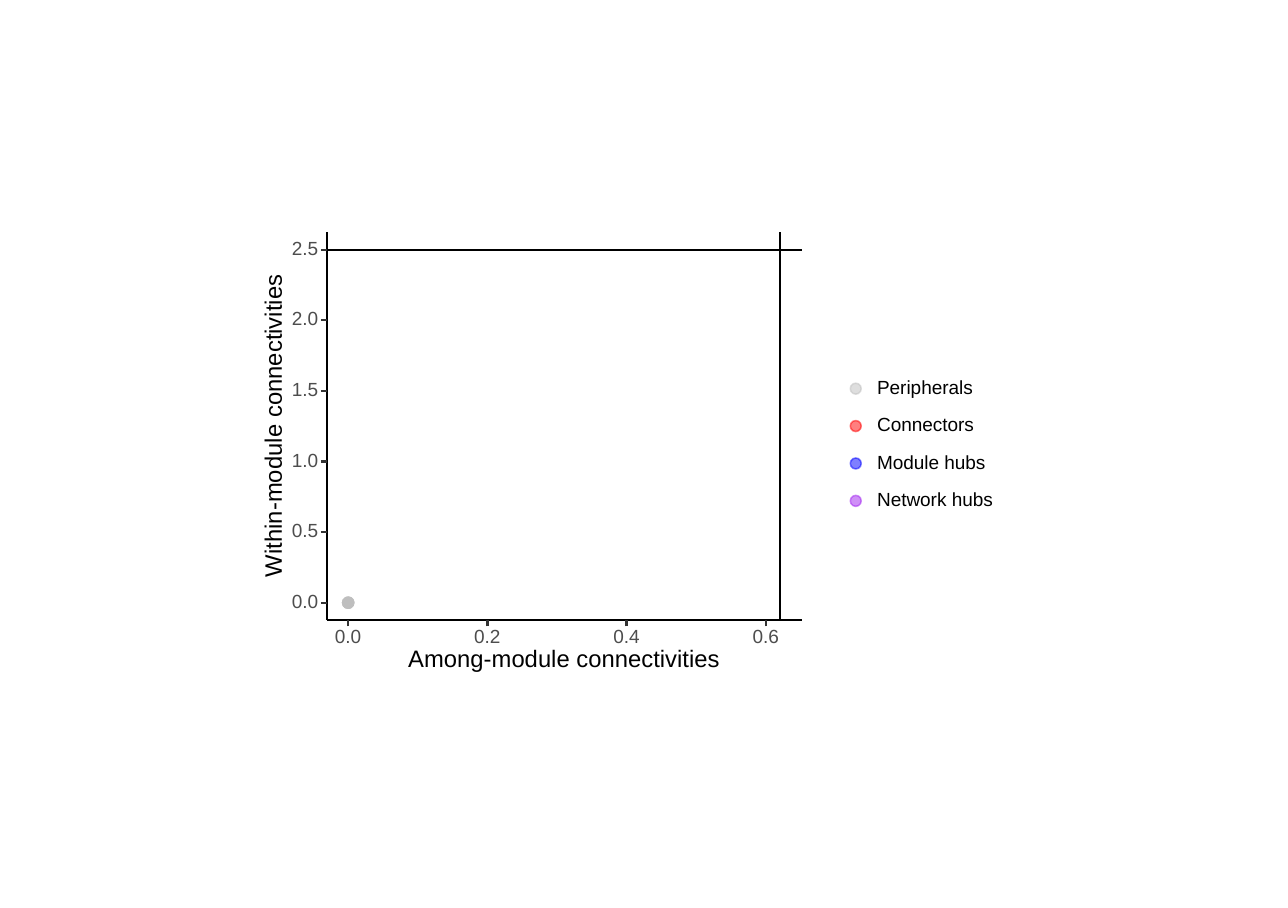
from dataclasses import dataclass

from lxml import etree
from pptx import Presentation
from pptx.dml.color import RGBColor
from pptx.enum.shapes import MSO_CONNECTOR, MSO_SHAPE
from pptx.enum.text import MSO_ANCHOR, PP_ALIGN
from pptx.oxml.ns import qn
from pptx.util import Inches, Pt

STRAIGHT = MSO_CONNECTOR.STRAIGHT
OVAL = MSO_SHAPE.OVAL
MIDDLE = MSO_ANCHOR.MIDDLE
LEFT, CENTER = PP_ALIGN.LEFT, PP_ALIGN.CENTER
BLANK_LAYOUT = 6


@dataclass(frozen=True)
class Theme:
    font: str = "Arial"
    ink: str = "000000"
    tick: str = "333333"
    tick_label: str = "4D4D4D"
    peripheral: str = "BEBEBE"
    connector: str = "FF0000"
    module_hub: str = "0000FF"
    network_hub: str = "A020F0"
    title_size: float = 11
    label_size: float = 8.8
    line_width: float = 1.07
    dot_outline: float = 0.71
    dot_opacity: int = 50


class Canvas:
    COLUMNS = ROWS = 100

    def __init__(self, presentation, theme):
        self.theme = theme
        self.slide = presentation.slides.add_slide(presentation.slide_layouts[BLANK_LAYOUT])
        self.column = presentation.slide_width / self.COLUMNS
        self.row = presentation.slide_height / self.ROWS

    def across(self, columns):
        return round(columns * self.column)

    def down(self, rows):
        return round(rows * self.row)

    def line(self, start, end, color):
        ends = [self.across(start[0]), self.down(start[1]), self.across(end[0]), self.down(end[1])]
        connector = self.slide.shapes.add_connector(STRAIGHT, *ends)
        connector.line.color.rgb = RGBColor.from_string(color)
        connector.line.width = Pt(self.theme.line_width)
        etree.SubElement(connector._element.spPr, qn("a:effectLst"))

    def dot(self, center, color, diameter=0.85):
        size = self.across(diameter)
        left = self.across(center[0]) - size // 2
        top = self.down(center[1]) - size // 2
        shape = self.slide.shapes.add_shape(OVAL, left, top, size, size)
        shape.shadow.inherit = False
        shape.fill.solid()
        shape.fill.fore_color.rgb = RGBColor.from_string(color)
        shape.line.color.rgb = RGBColor.from_string(color)
        shape.line.width = Pt(self.theme.dot_outline)
        for paint in shape._element.spPr.iter(qn("a:srgbClr")):
            etree.SubElement(paint, qn("a:alpha"), val=str(self.theme.dot_opacity * 1000))

    def text(self, words, center, width, size, color, align=CENTER, rotation=0):
        box_width, box_height = self.across(width), Pt(size)
        left = self.across(center[0]) - box_width // 2
        top = self.down(center[1]) - box_height // 2
        box = self.slide.shapes.add_textbox(left, top, box_width, box_height)
        box.rotation = rotation
        frame = box.text_frame
        frame.word_wrap = True
        frame.vertical_anchor = MIDDLE
        frame.margin_left = frame.margin_right = frame.margin_top = frame.margin_bottom = 0
        paragraph = frame.paragraphs[0]
        paragraph.text = words
        paragraph.alignment = align
        paragraph.line_spacing = Pt(size)
        paragraph.font.name = self.theme.font
        paragraph.font.size = Pt(size)
        paragraph.font.color.rgb = RGBColor.from_string(color)


PLOT_LEFT, PLOT_RIGHT, PLOT_TOP, PLOT_BOTTOM = 25.39, 62.27, 25.56, 68.29
ORIGIN_X, ORIGIN_Y = 27.03, 66.38
COLUMNS_PER_UNIT, ROWS_PER_UNIT = 54.05, 15.55
TICK_COLUMNS, TICK_ROWS = 0.48, 0.69
LABEL_WIDTH, TITLE_WIDTH = 3, 27
X_TICKS = [0.0, 0.2, 0.4, 0.6]
Y_TICKS = [0.0, 0.5, 1.0, 1.5, 2.0, 2.5]
AMONG_THRESHOLD, WITHIN_THRESHOLD = 0.62, 2.5
NODES = [(0, 0)] * 6
LEGEND_DOT_X, LEGEND_TEXT_LEFT, LEGEND_TEXT_WIDTH = 66.44, 68.1, 10
LEGEND_TOP, LEGEND_STEP = 42.8, 4.12


def x_of(among):
    return ORIGIN_X + among * COLUMNS_PER_UNIT


def y_of(within):
    return ORIGIN_Y - within * ROWS_PER_UNIT


def draw_plot(canvas, theme):
    for among, within in NODES:
        canvas.dot((x_of(among), y_of(within)), theme.peripheral)
    for x in (x_of(AMONG_THRESHOLD), PLOT_LEFT):
        canvas.line((x, PLOT_BOTTOM), (x, PLOT_TOP), theme.ink)
    for y in (y_of(WITHIN_THRESHOLD), PLOT_BOTTOM):
        canvas.line((PLOT_LEFT, y), (PLOT_RIGHT, y), theme.ink)


def draw_scales(canvas, theme):
    label_style = (LABEL_WIDTH, theme.label_size, theme.tick_label)
    for value in Y_TICKS:
        y = y_of(value)
        canvas.line((PLOT_LEFT - TICK_COLUMNS, y), (PLOT_LEFT, y), theme.tick)
        canvas.text(f"{value:.1f}", (23.7, y), *label_style)
    for value in X_TICKS:
        x = x_of(value)
        canvas.line((x, PLOT_BOTTOM + TICK_ROWS), (x, PLOT_BOTTOM), theme.tick)
        canvas.text(f"{value:.1f}", (x, 70.24), *label_style)
    title_style = (TITLE_WIDTH, theme.title_size, theme.ink)
    canvas.text("Among-module connectivities", (43.8, 72.7), *title_style)
    canvas.text("Within-module connectivities", (21.34, 46.9), *title_style, rotation=270)


def draw_legend(canvas, theme):
    roles = {
        "Peripherals": theme.peripheral,
        "Connectors": theme.connector,
        "Module hubs": theme.module_hub,
        "Network hubs": theme.network_hub,
    }
    text_x = LEGEND_TEXT_LEFT + LEGEND_TEXT_WIDTH / 2
    for index, (role, color) in enumerate(roles.items()):
        y = LEGEND_TOP + index * LEGEND_STEP
        canvas.dot((LEGEND_DOT_X, y), color)
        canvas.text(role, (text_x, y), LEGEND_TEXT_WIDTH, theme.label_size, theme.ink, LEFT)


presentation = Presentation()
presentation.slide_width = Inches(8.27)
presentation.slide_height = Inches(5.83)
theme = Theme()
canvas = Canvas(presentation, theme)
draw_plot(canvas, theme)
draw_scales(canvas, theme)
draw_legend(canvas, theme)
presentation.save("out.pptx")
